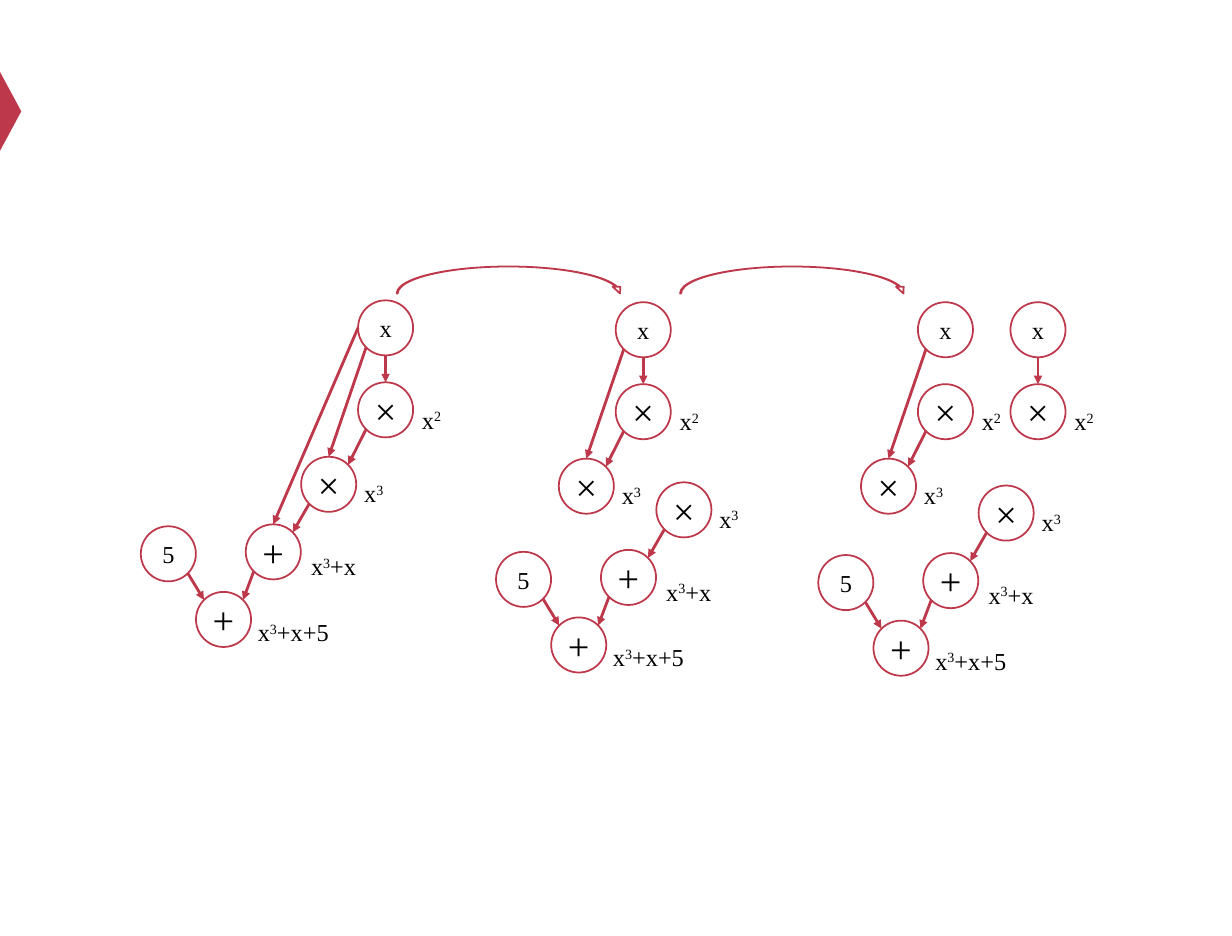
from math import cos, radians, sin

from lxml import etree
from pptx import Presentation
from pptx import util as u
from pptx.dml.color import RGBColor
from pptx.enum import shapes as es, text as et
from pptx.oxml.ns import qn

RED, BLACK = "BE384B", "000000"
FONT = "Times New Roman"
SIZE = 63.4  # node diameter
# Directions on a node's rim, in degrees clockwise from the right
SE, S, SW, W, NW, N, NE = range(45, 316, 45)

SQUARE = ["x", "^2"]
CUBE = ["x", "^3"]
SUM = ["x", "^3", "+x"]
TOTAL = ["x", "^3", "+x+5"]


def color(code):
    return RGBColor.from_string(code)


def write(frame, runs, size):
    """Centre the runs in one paragraph; a leading ^ makes a superscript."""
    para = frame.paragraphs[0]
    para.alignment = et.PP_ALIGN.CENTER
    for part in runs:
        run = para.add_run()
        run.text = part.lstrip("^")
        run.font.name = FONT
        run.font.size = u.Pt(size)
        run.font.color.rgb = color(BLACK)
        if part.startswith("^"):
            run.font._element.set("baseline", "30000")


def outline(slide, kind, x, y, w, h):
    shape = slide.shapes.add_shape(kind, u.Pt(x), u.Pt(y), u.Pt(w), u.Pt(h))
    shape.shadow.inherit = False
    shape.fill.background()
    shape.line.color.rgb = color(RED)
    shape.line.width = u.Pt(2)
    return shape


def node(slide, x, y, sign):
    """Draw a round node and return its top left corner."""
    oval = outline(slide, es.MSO_SHAPE.OVAL, x, y, SIZE, SIZE)
    frame = oval.text_frame
    frame.vertical_anchor = et.MSO_ANCHOR.MIDDLE
    write(frame, [sign], 44 if sign in "+×" else 28)
    return x, y


def label(slide, spot, dx, dy, width, runs):
    x, y = spot
    box = slide.shapes.add_textbox(u.Pt(x + dx), u.Pt(y + dy),
                                   u.Pt(width), u.Pt(41))
    frame = box.text_frame
    frame.word_wrap = True
    frame.auto_size = et.MSO_AUTO_SIZE.SHAPE_TO_FIT_TEXT
    write(frame, runs, 28)


def rim(spot, angle):
    x, y = spot
    half = SIZE / 2
    turn = radians(angle)
    return (u.Pt(x + half + half * cos(turn)),
            u.Pt(y + half + half * sin(turn)))


def arrow(slide, start, out, end, into):
    line = slide.shapes.add_connector(es.MSO_CONNECTOR.STRAIGHT,
                                      *rim(start, out), *rim(end, into))
    line.line.color.rgb = color(RED)
    line.line.width = u.Pt(3.25)
    etree.SubElement(line.line._get_or_add_ln(), qn("a:tailEnd"),
                     type="triangle")
    etree.SubElement(line._element.spPr, qn("a:effectLst"))


def square(slide, x, y, joined=True):
    """Draw x above its square; return both nodes."""
    root = node(slide, x, y, "x")
    times = node(slide, x, y + 94.3, "×")
    label(slide, times, 50.75, 22.25, 67.7, SQUARE)
    if joined:
        arrow(slide, root, S, times, N)
    return root, times


def cube(slide, x, y):
    times = node(slide, x, y, "×")
    label(slide, times, 52.25, 21.25, 62.6, CUBE)
    return times


def power(slide, x, y, joined=True):
    """Draw x, its square and its cube; return x and the cube."""
    root, times = square(slide, x, y, joined)
    third = cube(slide, x - 65.5, y + 180)
    arrow(slide, times, SW, third, NE)
    arrow(slide, root, SW, third, N)
    return root, third


def tail(slide, third):
    """Draw the additions below a cube; return the first sum."""
    x, y = third
    plus = node(slide, x - 63.75, y + 77.75, "+")
    five = node(slide, x - 184.5, y + 80, "5")
    total = node(slide, x - 121, y + 155.5, "+")
    arrow(slide, third, SW, plus, NE)
    arrow(slide, plus, SW, total, NE)
    arrow(slide, five, SE, total, NW)
    label(slide, plus, 55.4, 27.4, 91.4, SUM)
    label(slide, total, 50.4, 25.5, 123, TOTAL)
    return plus


def swoop(slide, x, y):
    arc = outline(slide, es.MSO_SHAPE.CURVED_DOWN_ARROW, x, y, 261.4, 31)
    for i, value in enumerate((0.039, 0.283, 0.25)):
        arc.adjustments[i] = value


def marker(slide, x, y, w, h):
    mark = slide.shapes.add_shape(es.MSO_SHAPE.ISOSCELES_TRIANGLE,
                                  u.Pt(x), u.Pt(y), u.Pt(w), u.Pt(h))
    mark.rotation = 90
    mark.shadow.inherit = False
    mark.fill.solid()
    mark.fill.fore_color.rgb = color(RED)
    mark.line.fill.background()


def main():
    deck = Presentation()
    deck.slide_width, deck.slide_height = u.Pt(1417.7), u.Pt(1077.1)
    slide = deck.slides.add_slide(deck.slide_layouts[6])
    marker(slide, -33.1, 115.9, 90.7, 24.5)

    # Whole graph
    root, third = power(slide, 412, 345.6)
    arrow(slide, root, W, tail(slide, third), N)

    # Split at the cube
    power(slide, 708.5, 347.75)
    tail(slide, cube(slide, 755.25, 555))

    # Split at the square too
    power(slide, 1056.25, 347.75, joined=False)
    square(slide, 1162.75, 347.75)
    tail(slide, cube(slide, 1126.1, 558.7))

    for x in (456.5, 782.6):
        swoop(slide, x, 306.7)
    deck.save("out.pptx")


if __name__ == "__main__":
    main()
